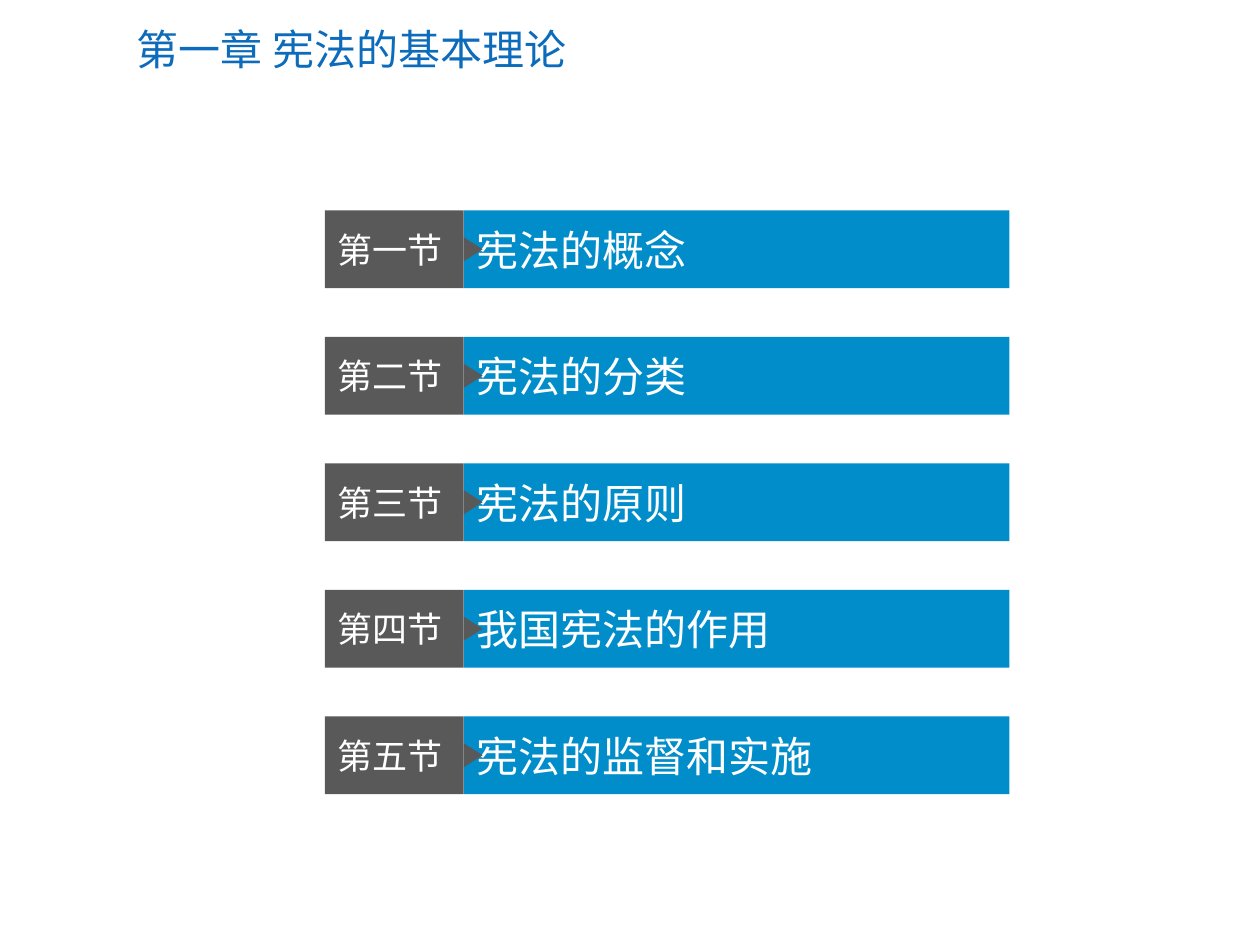
import pptx
import pptx.dml.color
import pptx.enum.shapes
import pptx.enum.text
import pptx.util

Cm, Pt = pptx.util.Cm, pptx.util.Pt
SHAPE = pptx.enum.shapes.MSO_SHAPE

TITLE = "第一章 宪法的基本理论"
SECTIONS = [
    ("第一节", "宪法的概念"),
    ("第二节", "宪法的分类"),
    ("第三节", "宪法的原则"),
    ("第四节", "我国宪法的作用"),
    ("第五节", "宪法的监督和实施"),
]

COLORS = {"title": "0C6BBA", "bar": "008DCA", "label": "595959", "white": "FFFFFF"}
TEXT_FORMATS = {
    "title": {"name": "Calibri", "size": Pt(24), "color": "title", "before": Pt(0)},
    "bar": {"name": "Calibri", "size": Pt(24), "color": "white", "before": Pt(6)},
    "label": {"name": "Noto Sans CJK SC", "size": Pt(20), "color": "white", "before": Pt(5)},
}

# Lengths in centimetres
FIRST_TOP, ROW_PITCH, ROW_HEIGHT = 4.24, 2.55, 1.57
LABEL_LEFT, LABEL_WIDTH = 6.55, 2.8
BAR_LEFT, BAR_WIDTH = LABEL_LEFT + LABEL_WIDTH, 11
POINTER_BASE, POINTER_DEPTH = 0.48, 0.38


def color(name):
    return pptx.dml.color.RGBColor.from_string(COLORS[name])


def write(shape, text, format_name):
    values = TEXT_FORMATS[format_name]
    frame = shape.text_frame
    frame.word_wrap = True
    frame.vertical_anchor = pptx.enum.text.MSO_ANCHOR.MIDDLE
    paragraph = frame.paragraphs[0]
    paragraph.alignment = pptx.enum.text.PP_ALIGN.LEFT
    paragraph.space_before = values["before"]
    run = paragraph.add_run()
    run.text = text
    for attribute in ("name", "size"):
        setattr(run.font, attribute, values[attribute])
    run.font.color.rgb = color(values["color"])


def add_filled(slide, kind, box, fill):
    shape = slide.shapes.add_shape(kind, *map(Cm, box))
    shape.shadow.inherit = False
    shape.fill.solid()
    shape.fill.fore_color.rgb = color(fill)
    shape.line.fill.background()
    return shape


def add_section(slide, top, label, heading):
    bar = add_filled(slide, SHAPE.RECTANGLE, (BAR_LEFT, top, BAR_WIDTH, ROW_HEIGHT), "bar")
    write(bar, heading, "bar")
    tag = add_filled(slide, SHAPE.RECTANGLE, (LABEL_LEFT, top, LABEL_WIDTH, ROW_HEIGHT), "label")
    write(tag, label, "label")
    # The box is placed before rotation, so its centre sits half a depth into the bar
    pointer_left = BAR_LEFT + (POINTER_DEPTH - POINTER_BASE) / 2
    pointer_top = top + (ROW_HEIGHT - POINTER_DEPTH) / 2
    pointer = add_filled(slide, SHAPE.ISOSCELES_TRIANGLE,
                         (pointer_left, pointer_top, POINTER_BASE, POINTER_DEPTH), "label")
    pointer.rotation = 90


def main():
    presentation = pptx.Presentation()
    presentation.slide_width, presentation.slide_height = Cm(25.4), Cm(19.05)
    slide = presentation.slides.add_slide(presentation.slide_layouts[6])
    title = slide.shapes.add_textbox(Cm(2.51), Cm(0.25), Cm(22.15), Cm(1.47))
    write(title, TITLE, "title")
    for row, (label, heading) in enumerate(SECTIONS):
        add_section(slide, FIRST_TOP + row * ROW_PITCH, label, heading)
    presentation.save("out.pptx")


if __name__ == "__main__":
    main()
